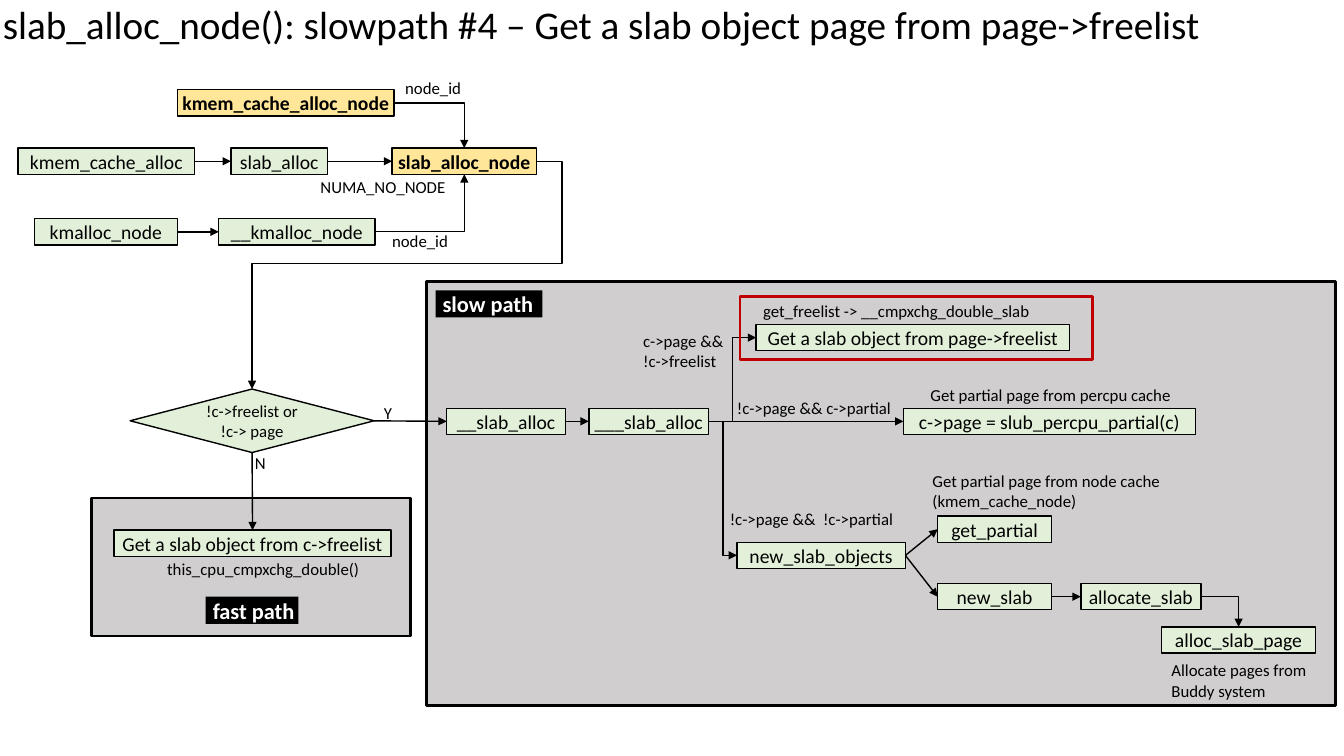
from dataclasses import dataclass

from lxml import etree
from pptx import Presentation
from pptx.dml.color import RGBColor
from pptx.enum import shapes, text
from pptx.oxml import ns
from pptx.util import Inches, Pt


@dataclass(frozen=True)
class Theme:
    font: str = "Calibri"
    black: str = "000000"
    white: str = "FFFFFF"
    step: str = "E2F0D9"
    entry: str = "FFE699"
    panel: str = "D0CECE"
    highlight: str = "C00000"
    title_size: int = 28
    tag_size: int = 16
    step_size: int = 14
    label_size: int = 12
    thin: float = 1
    thick: float = 2


THEME = Theme()
STEP_HEIGHT = 0.26
TOP, LEFT, BOTTOM, RIGHT = range(4)

TITLE = "slab_alloc_node(): slowpath #4 – Get a slab object page from page->freelist"
TITLE_AREA = (-0.07, -0.11, 13.72, 0.75)
PANELS = [(4.23, 2.79, 9.02, 4.21), (0.91, 4.94, 3.16, 1.37)]
HIGHLIGHT = (7.34, 2.94, 3.5, 0.63)
DECISION = ("!c->freelist or\n!c-> page", (1.29, 3.86, 2.42, 0.63))
ENTRY_POINTS = {"kmem_cache_alloc_node", "slab_alloc_node"}

# text, left, top, width
STEPS = [
    ("kmem_cache_alloc_node", 1.76, 0.89, 2.15),
    ("kmem_cache_alloc", 0.18, 1.47, 1.75),
    ("slab_alloc", 2.29, 1.47, 0.96),
    ("slab_alloc_node", 3.89, 1.47, 1.43),
    ("kmalloc_node", 0.34, 2.17, 1.42),
    ("__kmalloc_node", 2.17, 2.17, 1.55),
    ("Get a slab object from c->freelist", 1.13, 5.26, 2.75),
    ("__slab_alloc", 4.43, 4.05, 1.18),
    ("___slab_alloc", 5.84, 4.05, 1.19),
    ("Get a slab object from page->freelist", 7.5, 3.22, 3.11),
    ("c->page = slub_percpu_partial(c)", 8.96, 4.05, 2.9),
    ("new_slab_objects", 7.31, 5.38, 1.67),
    ("get_partial", 9.3, 5.12, 1.13),
    ("new_slab", 9.3, 5.79, 1.13),
    ("allocate_slab", 10.72, 5.79, 1.19),
    ("alloc_slab_page", 11.52, 6.22, 1.53),
]

# from, to, side left, side reached
STRAIGHT_ARROWS = [
    ("kmem_cache_alloc", "slab_alloc", RIGHT, LEFT),
    ("slab_alloc", "slab_alloc_node", RIGHT, LEFT),
    ("kmalloc_node", "__kmalloc_node", RIGHT, LEFT),
    (DECISION[0], "__slab_alloc", RIGHT, LEFT),
    (DECISION[0], "Get a slab object from c->freelist", BOTTOM, TOP),
    ("__slab_alloc", "___slab_alloc", RIGHT, LEFT),
    ("___slab_alloc", "c->page = slub_percpu_partial(c)", RIGHT, LEFT),
    ("new_slab_objects", "get_partial", RIGHT, LEFT),
    ("new_slab_objects", "new_slab", RIGHT, LEFT),
    ("new_slab", "allocate_slab", RIGHT, LEFT),
]

# from, to, side reached, preset, bend positions as shares of the span
ELBOW_ARROWS = [
    ("kmem_cache_alloc_node", "slab_alloc_node", TOP, "bentConnector2", ()),
    ("__kmalloc_node", "slab_alloc_node", BOTTOM, "bentConnector2", ()),
    ("slab_alloc_node", DECISION[0], TOP, "bentConnector4", (-0.09, 0.45)),
    ("___slab_alloc", "Get a slab object from page->freelist", LEFT, "bentConnector3", (0.5,)),
    ("___slab_alloc", "new_slab_objects", LEFT, "bentConnector3", (0.5,)),
    ("allocate_slab", "alloc_slab_page", TOP, "bentConnector2", ()),
]

LABELS = [
    ("node_id", (3.92, 0.72, 0.8, 0.3)),
    ("NUMA_NO_NODE", (3.08, 1.7, 1.55, 0.3)),
    ("node_id", (3.79, 2.24, 0.8, 0.3)),
    ("Y", (3.71, 3.95, 0.31, 0.3)),
    ("N", (2.43, 4.44, 0.31, 0.3)),
    ("this_cpu_cmpxchg_double()", (1.56, 5.49, 2.26, 0.3)),
    ("get_freelist -> __cmpxchg_double_slab", (7.47, 2.93, 3.88, 0.3)),
    ("c->page &&\n!c->freelist", (6.28, 3.23, 1.06, 0.5)),
    ("!c->page && c->partial", (7.21, 3.9, 1.96, 0.3)),
    ("Get partial page from percpu cache", (9.13, 3.77, 2.71, 0.3)),
    ("Get partial page from node cache (kmem_cache_node)", (9.15, 4.62, 2.71, 0.5)),
    ("!c->page &&  !c->partial", (7.14, 5, 1.86, 0.3)),
    ("Allocate pages from Buddy system", (11.52, 6.5, 1.71, 0.5)),
]
TAGS = [("fast path", (2.04, 5.92, 0.92, 0.27)), ("slow path", (4.32, 2.88, 1.06, 0.27))]


def color(value):
    return RGBColor.from_string(value)


def write(box, words, *, size, ink=THEME.black, bold=False, align=text.PP_ALIGN.LEFT,
          anchor=text.MSO_ANCHOR.TOP, insets=(0.1, 0.05, 0.1, 0.05), spacing=None, wrap=True):
    frame = box.text_frame
    frame.word_wrap = wrap
    frame.vertical_anchor = anchor
    (frame.margin_left, frame.margin_top,
     frame.margin_right, frame.margin_bottom) = map(Inches, insets)
    frame.text = words
    for para in frame.paragraphs:
        para.alignment = align
        para.line_spacing = spacing
        for span in para.runs:
            span.font.name = THEME.font
            span.font.size = Pt(size)
            span.font.bold = bold
            span.font.color.rgb = color(ink)


def add_box(page, area, *, fill=None, line=None, width=THEME.thin,
            preset=shapes.MSO_SHAPE.RECTANGLE):
    box = page.shapes.add_shape(preset, *map(Inches, area))
    box.shadow.inherit = False
    if fill:
        box.fill.solid()
        box.fill.fore_color.rgb = color(fill)
    else:
        box.fill.background()
    if line:
        box.line.color.rgb = color(line)
        box.line.width = Pt(width)
    else:
        box.line.fill.background()
    return box


def add_label(page, words, area, **style):
    write(page.shapes.add_textbox(*map(Inches, area)), words, **style)


def side_point(box, side):
    across = {LEFT: 0, RIGHT: box.width}.get(side, box.width // 2)
    down = {TOP: 0, BOTTOM: box.height}.get(side, box.height // 2)
    return box.left + across, box.top + down


def add_arrow(page, kind, source, target, leave, reach):
    arrow = page.shapes.add_connector(kind, *side_point(source, leave), *side_point(target, reach))
    arrow.line.color.rgb = color(THEME.black)
    arrow.line.width = Pt(THEME.thin)
    etree.SubElement(arrow.line._get_or_add_ln(), ns.qn("a:tailEnd"), type="triangle")
    etree.SubElement(arrow._element.spPr, ns.qn("a:effectLst"))
    return arrow


def bend(arrow, preset, positions):
    """Give an elbow arrow its number of turns and where they fall."""
    geometry = arrow._element.spPr.find(ns.qn("a:prstGeom"))
    geometry.set("prst", preset)
    guides = geometry.find(ns.qn("a:avLst"))
    for number, share in enumerate(positions, 1):
        etree.SubElement(guides, ns.qn("a:gd"), name=f"adj{number}",
                         fmla=f"val {round(share * 100000)}")


def main():
    deck = Presentation()
    deck.slide_width, deck.slide_height = Inches(13.33), Inches(7.5)
    page = deck.slides.add_slide(deck.slide_layouts[6])
    centered = {"align": text.PP_ALIGN.CENTER, "anchor": text.MSO_ANCHOR.MIDDLE}

    add_label(page, TITLE, TITLE_AREA, size=THEME.title_size,
              anchor=text.MSO_ANCHOR.MIDDLE, spacing=0.9)
    for area in PANELS:
        add_box(page, area, fill=THEME.panel, line=THEME.black, width=THEME.thick)

    nodes = {}
    for words, left, top, width in STEPS:
        entry = words in ENTRY_POINTS
        nodes[words] = add_box(page, (left, top, width, STEP_HEIGHT), line=THEME.black,
                               fill=THEME.entry if entry else THEME.step)
        write(nodes[words], words, size=THEME.step_size, bold=entry, wrap=False,
              insets=(0.05,) * 4, **centered)

    question, area = DECISION
    nodes[question] = add_box(page, area, fill=THEME.step, line=THEME.black,
                              preset=shapes.MSO_SHAPE.FLOWCHART_DECISION)
    write(nodes[question], question, size=THEME.label_size, insets=(0,) * 4, **centered)

    for source, target, leave, reach in STRAIGHT_ARROWS:
        arrow = add_arrow(page, shapes.MSO_CONNECTOR.STRAIGHT,
                          nodes[source], nodes[target], leave, reach)
        arrow.begin_connect(nodes[source], leave)
        arrow.end_connect(nodes[target], reach)
    for source, target, reach, preset, positions in ELBOW_ARROWS:
        arrow = add_arrow(page, shapes.MSO_CONNECTOR.ELBOW,
                          nodes[source], nodes[target], RIGHT, reach)
        bend(arrow, preset, positions)

    for words, area in LABELS:
        add_label(page, words, area, size=THEME.label_size)
    for words, area in TAGS:
        write(add_box(page, area, fill=THEME.black), words, size=THEME.tag_size,
              ink=THEME.white, bold=True, insets=(0.07, 0, 0.02, 0))
    add_box(page, HIGHLIGHT, line=THEME.highlight, width=THEME.thick)
    deck.save("out.pptx")


if __name__ == "__main__":
    main()
